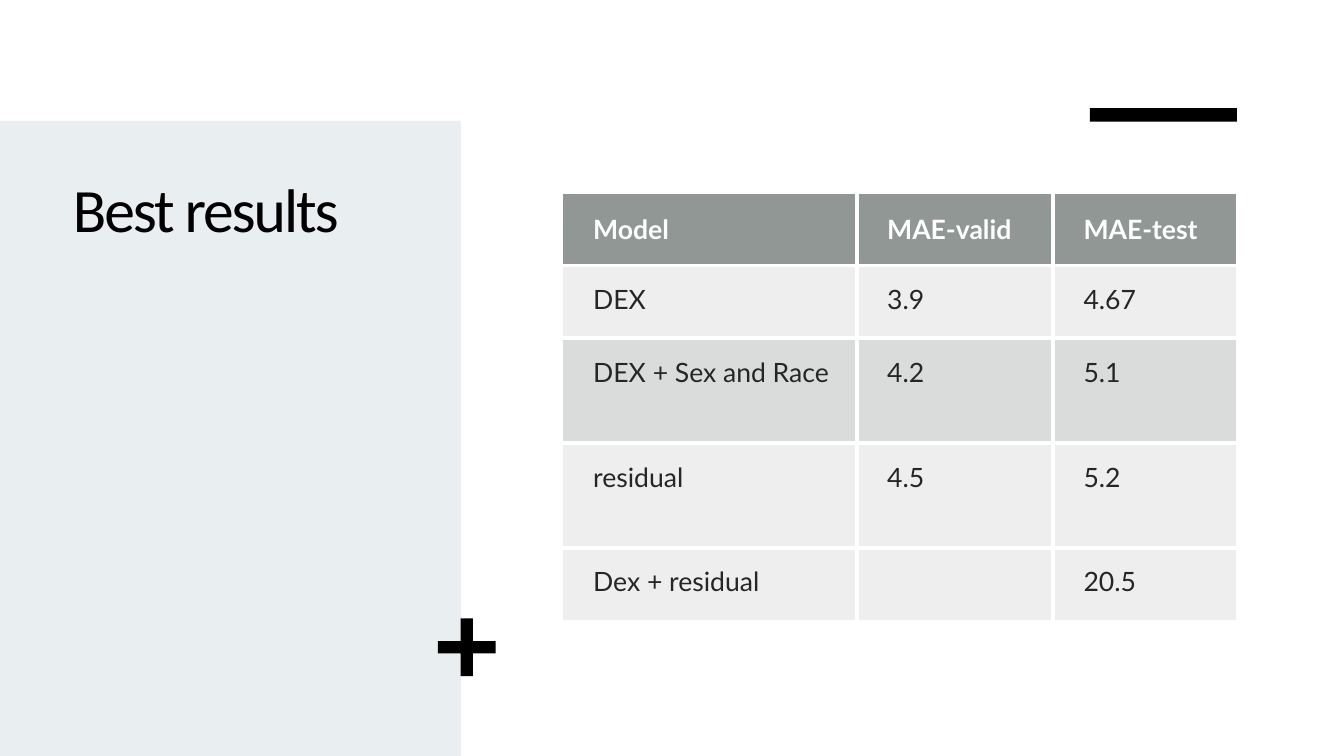
"""Build the best results slide with its model comparison table."""
from lxml import etree
from pptx import Presentation
from pptx import util as u
from pptx.dml.color import RGBColor
from pptx.enum import shapes, text
from pptx.oxml.ns import qn

COLORS = {
    "panel": "E9EFF1", "black": "000000", "white": "FFFFFF", "ink": "262626",
    "header": "636B68", "band": "878E8B",
}
RESULTS = [
    ("Model", "MAE-valid", "MAE-test"),
    ("DEX", "3.9", "4.67"),
    ("DEX + Sex and Race", "4.2", "5.1"),
    ("residual", "4.5", "5.2"),
    ("Dex + residual", "", "20.5"),
]
ROW_FILLS = [("header", 70), ("band", 15), ("band", 30), ("band", 15), ("band", 15)]


def px(length):
    return u.Emu(length * 9525)


def color(name):
    return RGBColor.from_string(COLORS[name])


class SlideBuilder:
    def __init__(self, deck):
        self.slide = deck.slides.add_slide(deck.slide_layouts[6])
        self.title_font = "Calibri"
        self.body_font = "Lato"

    def block(self, kind, box, fill):
        block = self.slide.shapes.add_shape(kind, *map(px, box))
        block.shadow.inherit = False
        block.fill.solid()
        block.fill.fore_color.rgb = color(fill)
        block.line.fill.background()
        return block

    def style(self, paragraph, name, size, ink, bold=False):
        font = paragraph.font
        font.name, font.size, font.bold = name, u.Pt(size), bold
        font.color.rgb = color(ink)

    def title(self, box, wording):
        frame = self.slide.shapes.add_textbox(*map(px, box)).text_frame
        frame.word_wrap = True
        frame.vertical_anchor = text.MSO_ANCHOR.TOP
        heading = frame.paragraphs[0]
        run = heading.add_run()
        run.text = wording
        self.style(heading, self.title_font, 44, "black")
        run.font._element.set("spc", "-150")

    def borders(self, cell, sides):
        properties = cell._tc.get_or_add_tcPr()
        for position, side in enumerate(sides):
            line = etree.Element(qn(f"a:ln{side}"), w=str(u.Pt(3)))
            fill = etree.SubElement(line, qn("a:solidFill"))
            etree.SubElement(fill, qn("a:srgbClr"), val=COLORS["white"])
            properties.insert(position, line)

    def cell(self, cell, wording, fill, opacity, is_header):
        cell.fill.solid()
        cell.fill.fore_color.rgb = color(fill)
        shade = cell._tc.tcPr.find(".//" + qn("a:srgbClr"))
        etree.SubElement(shade, qn("a:alpha"), val=str(opacity * 1000))
        cell.margin_left = px(29)
        cell.margin_top = cell.margin_right = cell.margin_bottom = px(17)
        anchors = text.MSO_ANCHOR
        cell.vertical_anchor = anchors.MIDDLE if is_header else anchors.TOP
        cell.text = wording
        ink = "white" if is_header else "ink"
        self.style(cell.text_frame.paragraphs[0], self.body_font, 19, ink, is_header)

    def table(self, left, top, widths, heights, rows, fills):
        box = map(px, (left, top, sum(widths), sum(heights)))
        table = self.slide.shapes.add_table(len(rows), len(widths), *box).table
        table.horz_banding = False
        for column, width in zip(table.columns, widths):
            column.width = px(width)
        for r, (row, height) in enumerate(zip(rows, heights)):
            table.rows[r].height = px(height)
            for c, wording in enumerate(row):
                cell = table.cell(r, c)
                self.cell(cell, wording, *fills[r], r == 0)
                inner = {"L": c > 0, "R": c < len(widths) - 1,
                         "T": r > 0, "B": r < len(rows) - 1}
                self.borders(cell, [side for side, shown in inner.items() if shown])


def main():
    deck = Presentation()
    deck.slide_width, deck.slide_height = px(1280), px(720)
    page = SlideBuilder(deck)
    rectangle = shapes.MSO_SHAPE.RECTANGLE
    page.block(rectangle, (0, 115, 439, 605), "panel")
    page.title((60, 158, 336, 422), "Best results")
    page.block(rectangle, (1038, 103, 140, 13), "black")
    plus = page.block(shapes.MSO_SHAPE.CROSS, (417, 589, 55, 55), "black")
    plus.adjustments[0] = 0.395
    page.table(536, 184, (280, 187, 175), (69, 69, 100, 100, 69), RESULTS, ROW_FILLS)
    deck.save("out.pptx")


if __name__ == "__main__":
    main()
